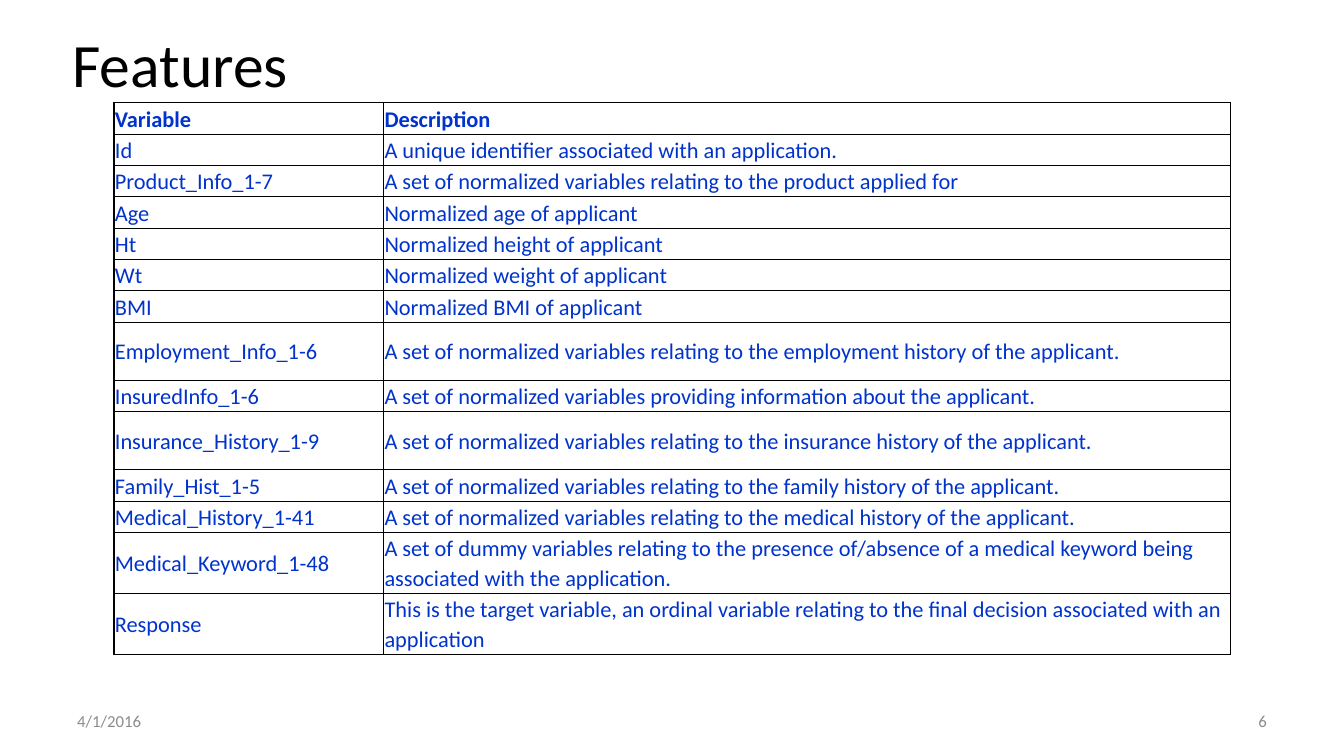
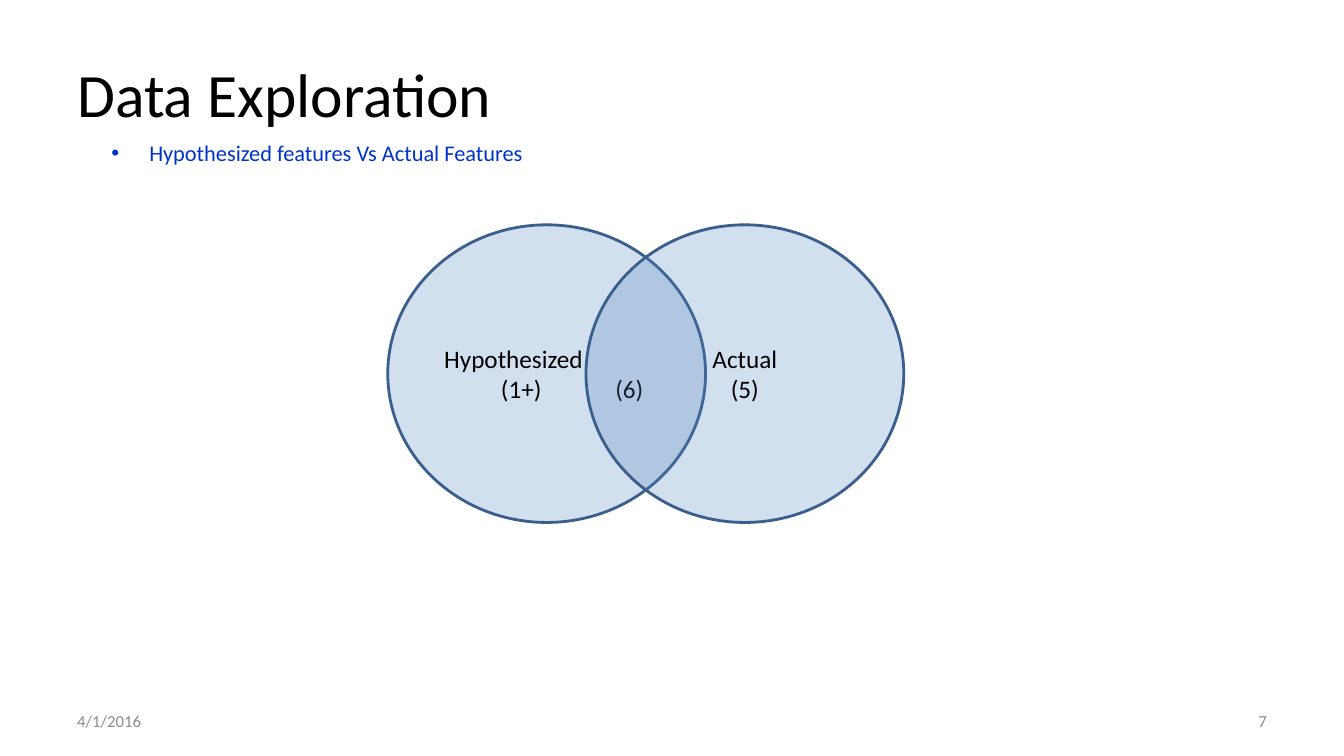
"""Build two slides: a table of data features and a Venn diagram of feature sets."""
from dataclasses import dataclass

from lxml.etree import SubElement
from pptx import Presentation
from pptx.dml.color import RGBColor
from pptx.enum.shapes import MSO_SHAPE
from pptx.enum.text import MSO_ANCHOR, MSO_AUTO_SIZE, PP_ALIGN
from pptx.oxml.ns import qn
from pptx.util import Pt


@dataclass(frozen=True)
class Theme:
    font: str = "Calibri"
    ink: str = "000000"
    accent: str = "0033CC"
    muted: str = "8C8C8C"
    circle: str = "4F81BD"
    outline: str = "3A5F8C"
    title: int = 44
    label: int = 18
    body: int = 16
    footer: int = 12


T = Theme()


def write(tf, text, size, color, bold=False, align=PP_ALIGN.LEFT,
          anchor=MSO_ANCHOR.MIDDLE, spacing=None):
    tf.word_wrap = True
    tf.vertical_anchor = anchor
    for i, line in enumerate(text.split("\n")):
        p = tf.add_paragraph() if i else tf.paragraphs[0]
        p.alignment = align
        p.line_spacing = spacing
        r = p.add_run()
        r.text = line
        r.font.name = T.font
        r.font.size = Pt(size)
        r.font.bold = bold
        r.font.color.rgb = RGBColor.from_string(color)
    return p


prs = Presentation()
prs.slide_width, prs.slide_height = Pt(960), Pt(540)

pages = [
    ("Features", 44.6, 0, "6"),
    ("Data Exploration", 48, 21.6, "7"),
]
for title, left, top, number in pages:
    s = prs.slides.add_slide(prs.slide_layouts[5])
    sp = s.shapes.title
    sp.left, sp.top, sp.width, sp.height = Pt(left), Pt(top), Pt(864), Pt(90)
    sp.text_frame.auto_size = MSO_AUTO_SIZE.NONE
    write(sp.text_frame, title, T.title, T.ink)
    footers = [("4/1/2016", 48, PP_ALIGN.LEFT), (number, 688, PP_ALIGN.RIGHT)]
    for text, x, align in footers:
        sp = s.shapes.add_textbox(Pt(x), Pt(500.4), Pt(224), Pt(28.8))
        write(sp.text_frame, text, T.footer, T.muted, align=align)

features, exploration = prs.slides

single, tall, double = 22.4, 41.5, 43.5
rows = [
    ("Variable", "Description", single),
    ("Id", "A unique identifier associated with an application.", single),
    ("Product_Info_1-7",
     "A set of normalized variables relating to the product applied for", single),
    ("Age", "Normalized age of applicant", single),
    ("Ht", "Normalized height of applicant", single),
    ("Wt", "Normalized weight of applicant", single),
    ("BMI", "Normalized BMI of applicant", single),
    ("Employment_Info_1-6",
     "A set of normalized variables relating to the employment history of the applicant.", tall),
    ("InsuredInfo_1-6",
     "A set of normalized variables providing information about the applicant.", single),
    ("Insurance_History_1-9",
     "A set of normalized variables relating to the insurance history of the applicant.", tall),
    ("Family_Hist_1-5",
     "A set of normalized variables relating to the family history of the applicant.", single),
    ("Medical_History_1-41",
     "A set of normalized variables relating to the medical history of the applicant.", single),
    ("Medical_Keyword_1-48",
     "A set of dummy variables relating to the presence of/absence of a medical keyword "
     "being associated with the application.", double),
    ("Response",
     "This is the target variable, an ordinal variable relating to the final decision "
     "associated with an application", double),
]
table = features.shapes.add_table(
    len(rows), 2, Pt(81.4), Pt(73.4), Pt(797.4), Pt(394)).table
table.first_row = table.horz_banding = False
for col, width in zip(table.columns, (192.6, 604.8)):
    col.width = Pt(width)
for i, (variable, description, height) in enumerate(rows):
    table.rows[i].height = Pt(height)
    for j, text in enumerate((variable, description)):
        cell = table.cell(i, j)
        cell.margin_left = cell.margin_right = Pt(0.7)
        cell.margin_top = cell.margin_bottom = Pt(0.7)
        write(cell.text_frame, text, T.body, T.accent, bold=i == 0, spacing=1.07)
        cell.vertical_anchor = MSO_ANCHOR.MIDDLE
        tcPr = cell._tc.get_or_add_tcPr()
        for side in ("a:lnL", "a:lnR", "a:lnT", "a:lnB"):
            ln = SubElement(tcPr, qn(side), w=str(Pt(1)))
            SubElement(SubElement(ln, qn("a:solidFill")), qn("a:srgbClr"), val=T.ink)
        cell.fill.background()

sp = exploration.shapes.add_textbox(Pt(72.5), Pt(95.8), Pt(658), Pt(384.5))
p = write(sp.text_frame, "Hypothesized features Vs Actual Features", T.body, T.accent,
          anchor=MSO_ANCHOR.TOP)
p.space_before = Pt(3.2)
pPr = p._p.get_or_add_pPr()
pPr.set("marL", str(Pt(27)))
pPr.set("indent", str(-Pt(27)))
SubElement(pPr, qn("a:buFont"), typeface="Arial")
SubElement(pPr, qn("a:buChar"), char="•")

circles = [
    ("Hypothesized\n\t(1+)\t(6)", 277, PP_ALIGN.LEFT, (40.5, 122.2)),
    ("Actual\n(5)", 418.6, PP_ALIGN.CENTER, ()),
]
for text, left, align, tabs in circles:
    sp = exploration.shapes.add_shape(
        MSO_SHAPE.OVAL, Pt(left), Pt(160.6), Pt(227), Pt(212.6))
    sp.shadow.inherit = False
    sp.fill.solid()
    sp.fill.fore_color.rgb = RGBColor.from_string(T.circle)
    color = sp._element.spPr.find(qn("a:solidFill")).find(qn("a:srgbClr"))
    SubElement(color, qn("a:alpha"), val="25000")
    sp.line.color.rgb = RGBColor.from_string(T.outline)
    sp.line.width = Pt(2)
    p = write(sp.text_frame, text, T.label, T.ink, align=align)
    if tabs:
        tab_list = SubElement(p._p.get_or_add_pPr(), qn("a:tabLst"))
        for pos in tabs:
            SubElement(tab_list, qn("a:tab"), pos=str(Pt(pos)), algn="l")

prs.save("out.pptx")
